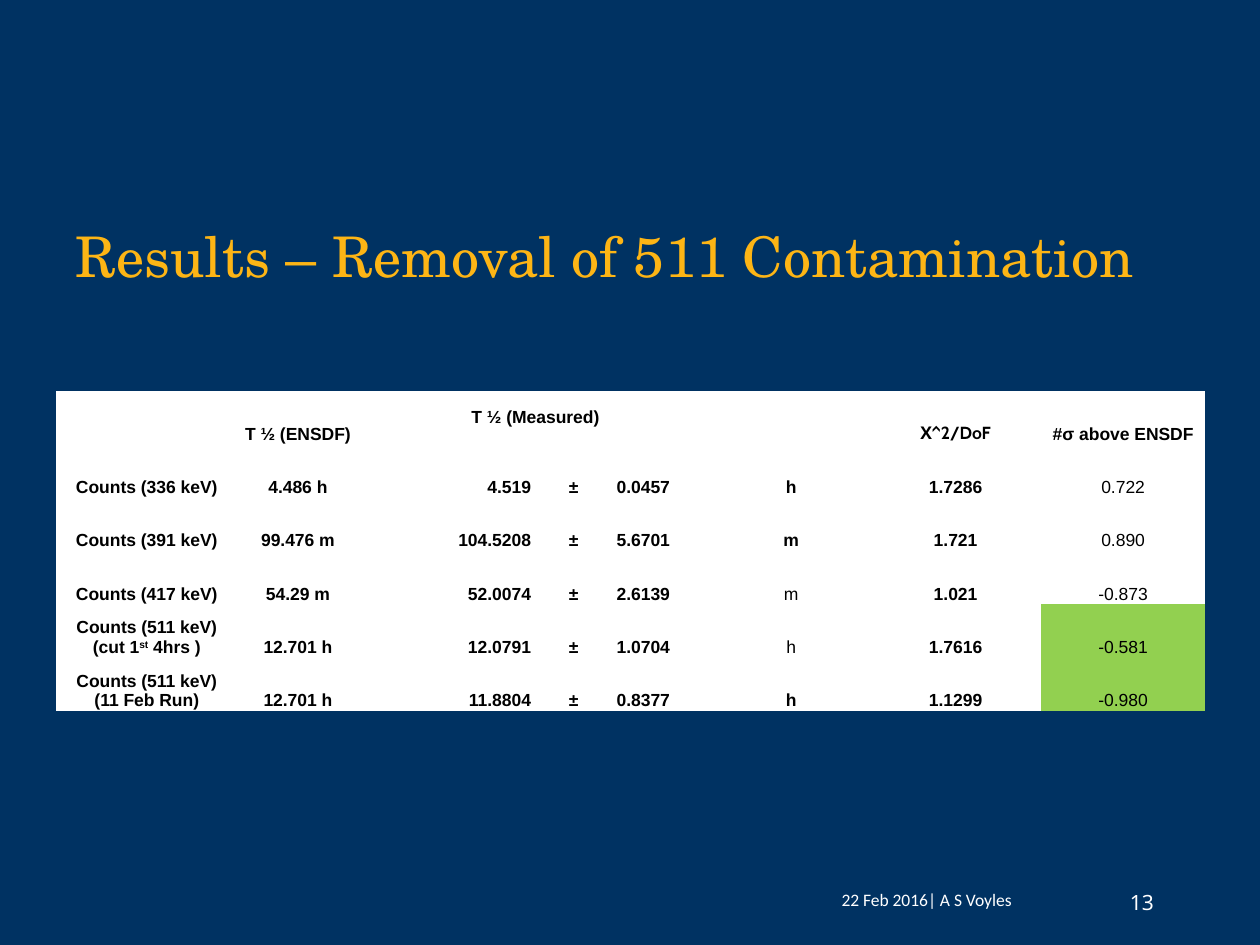
from pptx import Presentation
from pptx.dml.color import RGBColor
from pptx.enum import text as t
from pptx.util import Pt

COLORS = {"navy": "003262", "gold": "FDB515", "white": "FFFFFF",
          "black": "000000", "green": "92D050"}
LEFT, MID, RIGHT = t.PP_ALIGN.LEFT, t.PP_ALIGN.CENTER, t.PP_ALIGN.RIGHT
TOP, CENTER, BOTTOM = (t.MSO_ANCHOR.TOP, t.MSO_ANCHOR.MIDDLE,
                       t.MSO_ANCHOR.BOTTOM)
PLAIN = "{2D5ABB26-0587-4C30-8999-92F81FD0307C}"  # no style, no grid

WIDTHS = [103.68, 69.12, 98.64, 48.96, 54.72, 90, 97.92, 93.6]
ALIGNS = [MID, MID, RIGHT, MID, LEFT, MID, MID, MID]
HEADS = ["", "T ½ (ENSDF)", "T ½ (Measured)", "", "", "", "Χ^2/DoF",
         "#σ above ENSDF"]
ROWS = [
    ["Counts (336 keV)", "4.486 h", "4.519", "±", "0.0457", "h",
     "1.7286", "0.722"],
    ["Counts (391 keV)", "99.476 m", "104.5208", "±", "5.6701", "m",
     "1.721", "0.890"],
    ["Counts (417 keV)", "54.29 m", "52.0074", "±", "2.6139", "m",
     "1.021", "-0.873"],
    ["Counts (511 keV)\v(cut 1", "12.701 h", "12.0791", "±", "1.0704", "h",
     "1.7616", "-0.581"],
    ["Counts (511 keV)\v(11 Feb Run)", "12.701 h", "11.8804", "±", "0.8377",
     "h", "1.1299", "-0.980"],
]
LIGHT = {(3, 5), (4, 5)}  # units that are not bold
SIGMA = 7                 # last column
CUT = 4                   # row with the ordinal in its label


def color(name):
    return RGBColor.from_string(COLORS[name])


def style(para, face, size, hue, align=LEFT, bold=False):
    para.alignment = align
    font = para.font
    font.name, font.size, font.bold = face, Pt(size), bold
    font.color.rgb = color(hue)


def add_label(slide, box, words, face, size, hue, align=LEFT, anchor=CENTER):
    frame = slide.shapes.add_textbox(*map(Pt, box)).text_frame
    frame.word_wrap = True
    frame.vertical_anchor = anchor
    frame.text = words
    style(frame.paragraphs[0], face, size, hue, align)


def fill_cell(cell, words, align, bold, hue, face="Arial", anchor=BOTTOM):
    cell.fill.solid()
    cell.fill.fore_color.rgb = color(hue)
    cell.margin_left = cell.margin_right = 0
    cell.margin_top = cell.margin_bottom = 0
    cell.vertical_anchor = anchor
    para = cell.text_frame.paragraphs[0]
    para.text = words
    style(para, face, 10, "black", align, bold)
    return para


def add_results(slide, box):
    count = len(ROWS) + 1
    table = slide.shapes.add_table(count, len(WIDTHS), *map(Pt, box)).table
    table.first_row = table.horz_banding = False
    table._tbl.tblPr[0].text = PLAIN
    for col, width in zip(table.columns, WIDTHS):
        col.width = Pt(width)
    for row in table.rows:
        row.height = Pt(box[3] / count)

    # Header row, with one heading over value, sign and error
    for c, words in enumerate(HEADS):
        fill_cell(table.cell(0, c), words, MID, True, "white",
                  "Cabin" if c == 6 else "Arial",
                  CENTER if c == 2 else BOTTOM)
    table.cell(0, 2).merge(table.cell(0, 4))

    # Measurements; the 511 keV results are marked green
    for r, row in enumerate(ROWS, 1):
        for c, words in enumerate(row):
            bold = c != SIGMA and (r, c) not in LIGHT
            hue = "green" if c == SIGMA and r >= CUT else "white"
            para = fill_cell(table.cell(r, c), words, ALIGNS[c], bold, hue)
            if (r, c) == (CUT, 0):
                mark = para.add_run()
                mark.text = "st"
                mark.font._element.set("baseline", "30000")
                para.add_run().text = " 4hrs )"


def add_footer(slide, box):
    left, top, width, height = box
    add_label(slide, (left, top, 185, height), "22 Feb 2016| A S Voyles",
              "Calibri", 10, "white", MID)
    add_label(slide, (left + 201.6, top + 5.76, width - 201.6, 21.6), "13",
              "Noto Sans", 12, "white", anchor=TOP)


def main():
    deck = Presentation()
    deck.slide_width, deck.slide_height = Pt(720), Pt(540)
    slide = deck.slides.add_slide(deck.slide_layouts[6])
    slide.background.fill.solid()
    slide.background.fill.fore_color.rgb = color("navy")
    add_label(slide, (36, 100.8, 648, 90),
              "Results – Removal of 511 Contamination",
              "TeX Gyre Schola", 32, "gold")
    add_results(slide, (32, 223.2, sum(WIDTHS), 183))
    add_footer(slide, (437, 499, 283, 29.5))
    deck.save("out.pptx")


if __name__ == "__main__":
    main()
